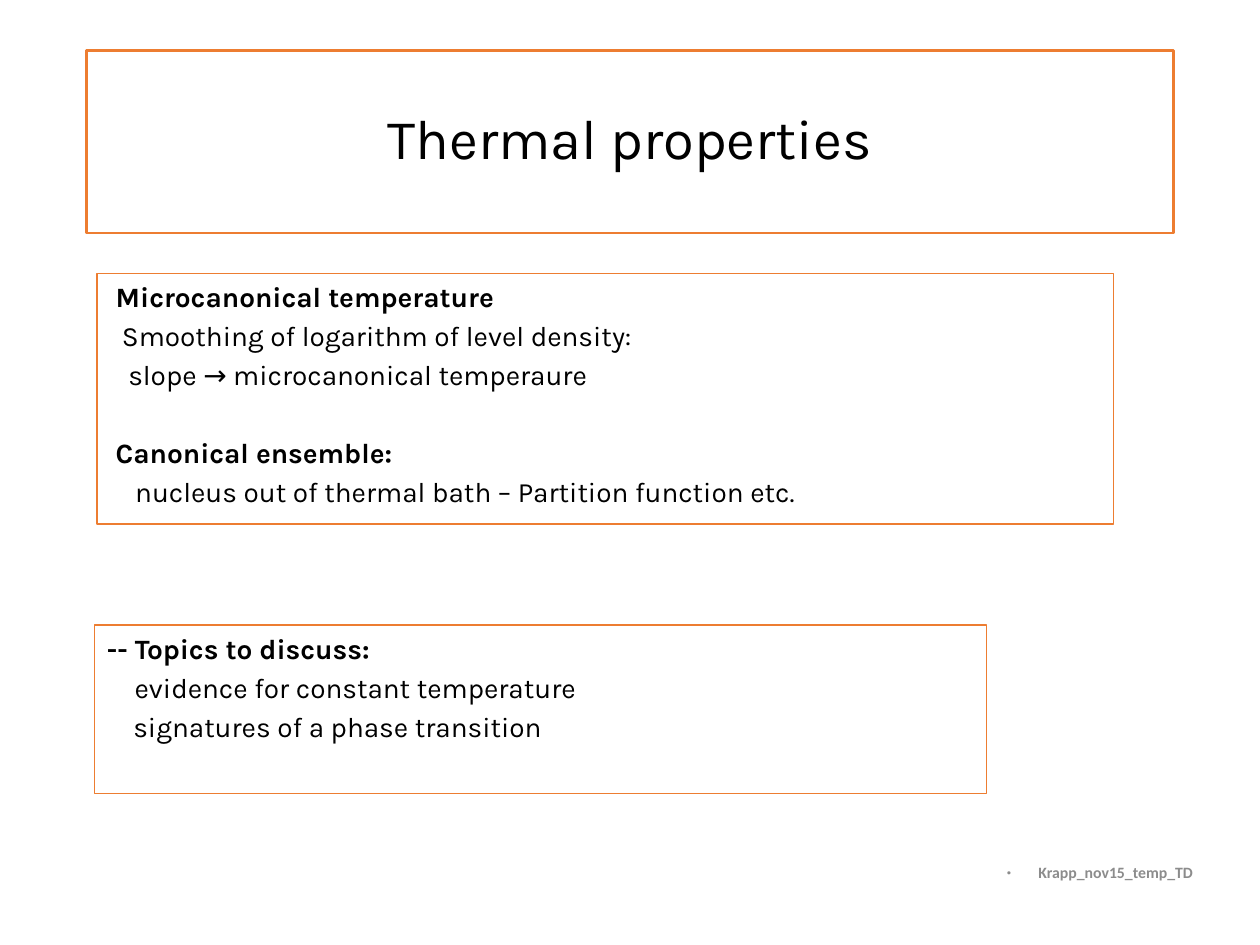
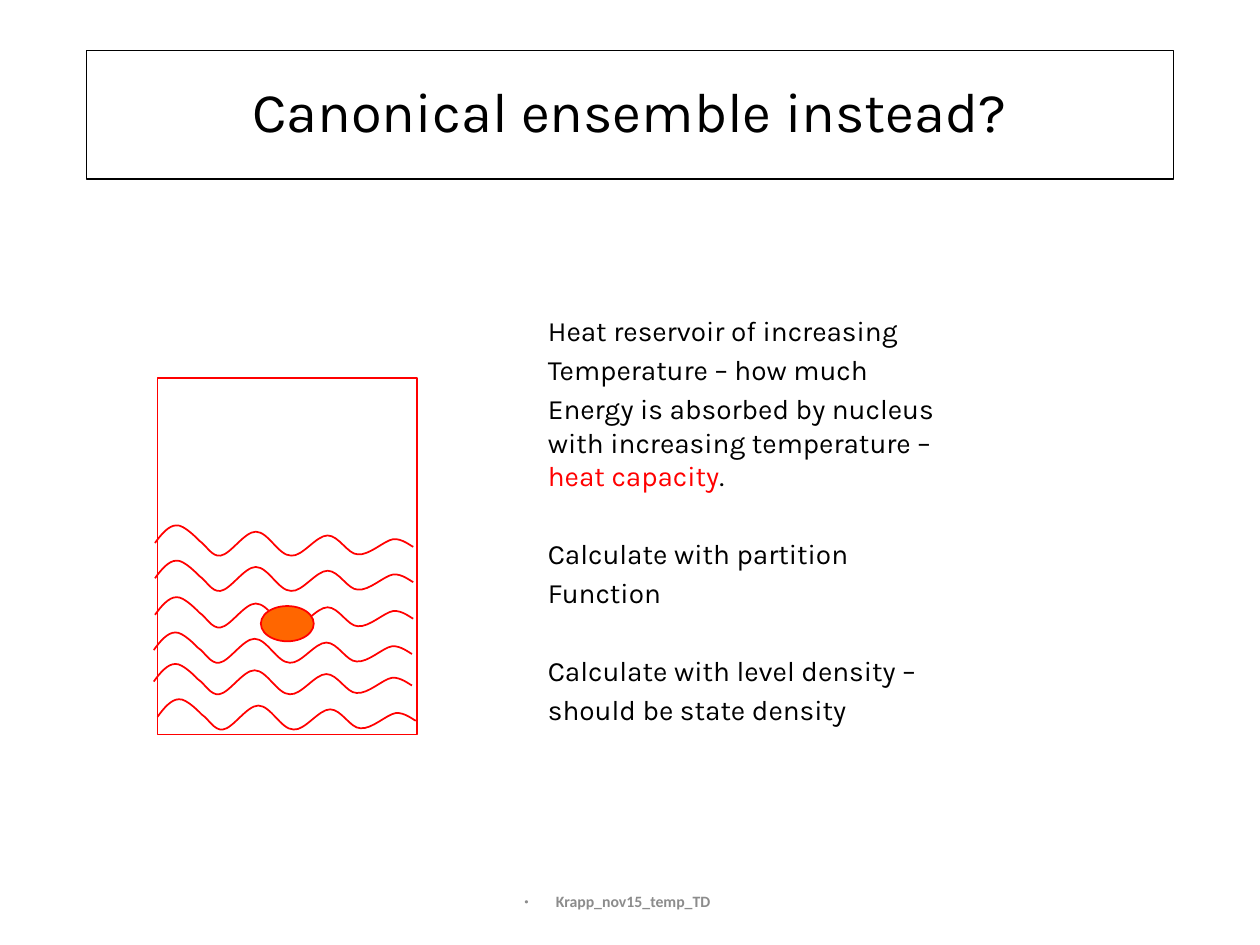
"""Build two slides on thermal properties and the canonical ensemble."""
from dataclasses import dataclass

from lxml import etree
from pptx import Presentation
from pptx import util as u
from pptx.dml.color import RGBColor
from pptx.enum import shapes, text
from pptx.oxml import ns


@dataclass(frozen=True)
class Theme:
    """Colours, fonts and type sizes."""
    ink: str = "000000"
    frame: str = "ED7D31"
    red: str = "FF0000"
    nucleus: str = "FF6600"
    muted: str = "8C8C8C"
    font: str = "Karla"
    footer_font: str = "Calibri"
    title_size: float = 32
    body_size: float = 16
    footer_size: float = 9
    para_gap: float = 3.1
    section_gap: float = 25.4
    space: float = 0.05


@dataclass(frozen=True)
class Box:
    """Position and size in inches."""
    left: float
    top: float
    width: float
    height: float

    def emu(self):
        return [u.Inches(v) for v in (self.left, self.top, self.width, self.height)]


@dataclass(frozen=True)
class Line:
    """One paragraph, indented by a number of spaces, with an optional red phrase."""
    words: str
    bold: bool = False
    indent: float = 0
    new_section: bool = False
    accent: str = ""
    tail: str = ""


T = Theme()
SLIDE_WIDTH, SLIDE_HEIGHT = 10, 7.5
TITLE_WIDTH = 8 + 5 / 8
FOOTER = "Krapp_nov15_temp_TD"

METHODS = [
    Line("Microcanonical temperature", bold=True, indent=1),
    Line("Smoothing of logarithm of level density:", indent=2),
    Line("slope → microcanonical temperaure", indent=3),
    Line("Canonical ensemble:", bold=True, indent=1, new_section=True),
    Line("nucleus out of thermal bath – Partition function etc.", indent=4.1),
]
TOPICS = [
    Line("-- Topics to discuss:", bold=True),
    Line("evidence for constant temperature", indent=4.4),
    Line("signatures of a phase transition", indent=4.2),
]
RESERVOIR = [
    Line("Heat reservoir of increasing"),
    Line("Temperature – how much"),
    Line("Energy is absorbed by nucleus with increasing temperature – ",
         accent="heat capacity", tail="."),
    Line("Calculate with partition", new_section=True),
    Line("Function"),
    Line("Calculate with level density –", new_section=True),
    Line("should be state density"),
]

WAVE_STARTS = [(1.23, 4.31), (1.23, 4.59), (1.23, 4.88),
               (1.22, 5.16), (1.22, 5.41), (1.25, 5.69)]
WAVE_CURVES = [
    ((0.05, -0.07), (0.11, -0.14), (0.17, -0.14)),
    ((0.23, -0.15), (0.35, -0.02), (0.35, -0.02)),
    ((0.41, 0.02), (0.45, 0.11), (0.52, 0.1)),
    ((0.6, 0.09), (0.71, -0.09), (0.8, -0.09)),
    ((0.9, -0.09), (0.98, 0.1), (1.08, 0.1)),
    ((1.17, 0.11), (1.28, -0.06), (1.37, -0.06)),
    ((1.46, -0.06), (1.53, 0.09), (1.61, 0.09)),
    ((1.7, 0.1), (1.82, -0.02), (1.89, -0.03)),
    ((1.96, -0.04), (2.04, 0.03), (2.05, 0.03)),
]


def color(value: str) -> RGBColor:
    """Turn a hex value into a colour."""
    return RGBColor.from_string(value)


def style_run(r, size: float, fill: str, font: str = T.font, bold: bool = False) -> None:
    """Format one run."""
    r.font.name, r.font.size, r.font.bold = font, u.Pt(size), bold
    r.font.color.rgb = color(fill)


def outline(sp, line: str, width: float, fill: str = "") -> None:
    """Give a shape its line, its fill and no shadow."""
    sp.shadow.inherit = False
    sp.line.color.rgb = color(line)
    sp.line.width = u.Pt(width)
    if fill:
        sp.fill.solid()
        sp.fill.fore_color.rgb = color(fill)
    else:
        sp.fill.background()


def add_shape(s, kind, box: Box, line: str, width: float, fill: str = ""):
    """Draw a preset shape."""
    sp = s.shapes.add_shape(kind, *box.emu())
    outline(sp, line, width, fill)
    return sp


def write_lines(sp, lines: list[Line]) -> None:
    """Fill a shape with left-aligned body paragraphs."""
    tf = sp.text_frame
    tf.word_wrap = True
    tf.vertical_anchor = text.MSO_ANCHOR.TOP
    for i, line in enumerate(lines):
        p = tf.add_paragraph() if i else tf.paragraphs[0]
        p.text = line.words
        p.alignment = text.PP_ALIGN.LEFT
        p.space_before = u.Pt(T.section_gap if line.new_section else T.para_gap)
        style_run(p.runs[0], T.body_size, T.ink, bold=line.bold)
        for words, fill in ((line.accent, T.red), (line.tail, T.ink)):
            if words:
                r = p.add_run()
                r.text = words
                style_run(r, T.body_size, fill)
        p_pr = p._p.get_or_add_pPr()
        p_pr.set("marL", str(u.Inches(line.indent * T.space)))
        p_pr.set("indent", "0")


def add_footer(s, box: Box) -> None:
    """Write the bulleted, centred footer."""
    tf = s.shapes.add_textbox(*box.emu()).text_frame
    tf.word_wrap = True
    tf.margin_right = u.Inches(0.3)
    tf.vertical_anchor = text.MSO_ANCHOR.MIDDLE
    p = tf.paragraphs[0]
    p.text = FOOTER
    p.alignment = text.PP_ALIGN.CENTER
    style_run(p.runs[0], T.footer_size, T.muted, T.footer_font, bold=True)
    p_pr = p._p.get_or_add_pPr()
    p_pr.set("marL", str(u.Inches(0.25)))
    p_pr.set("indent", str(-u.Inches(0.25)))
    etree.SubElement(p_pr, ns.qn("a:buFont"), typeface=T.font)
    etree.SubElement(p_pr, ns.qn("a:buChar"), char="•")


def add_slide(prs, title: str, height: float, line: str, width: float, footer: Box):
    """Start a slide with its framed title and footer."""
    s = prs.slides.add_slide(prs.slide_layouts[5])
    sp = s.shapes.title
    box = Box((SLIDE_WIDTH - TITLE_WIDTH) / 2, 0.4, TITLE_WIDTH, height)
    sp.left, sp.top, sp.width, sp.height = box.emu()
    sp.line.color.rgb = color(line)
    sp.line.width = u.Pt(width)
    tf = sp.text_frame
    tf.text = title
    tf.vertical_anchor = text.MSO_ANCHOR.MIDDLE
    p = tf.paragraphs[0]
    p.alignment = text.PP_ALIGN.CENTER
    p.line_spacing = 0.9
    style_run(p.runs[0], T.title_size, T.ink)
    add_footer(s, footer)
    return s


def add_wave(s, left: float, top: float) -> None:
    """Draw one wave of the heat bath as a chain of Bezier curves."""
    def place(x: float, y: float) -> tuple[int, int]:
        return u.Inches(left + x), u.Inches(top + y)

    builder = s.shapes.build_freeform(*place(0, 0))
    builder.add_line_segments([place(*c[-1]) for c in WAVE_CURVES], close=False)
    sp = builder.convert_to_shape()
    outline(sp, T.red, 1)
    segments = list(sp._element.iter(ns.qn("a:lnTo")))
    for segment, curve in zip(segments, WAVE_CURVES):
        bezier = etree.Element(ns.qn("a:cubicBezTo"))
        for x, y in (place(*point) for point in curve):
            etree.SubElement(bezier, ns.qn("a:pt"), x=str(x - sp.left), y=str(y - sp.top))
        segment.getparent().replace(segment, bezier)


def thermal_slide(prs) -> None:
    """Build the overview of thermal properties."""
    s = add_slide(prs, "Thermal properties", 1.45, T.frame, 1.5, Box(7.83, 6.67, 2, 0.5))
    for box, lines in ((Box(0.77, 2.17, 8.07, 1.99), METHODS),
                       (Box(0.75, 4.96, 7.08, 1.34), TOPICS)):
        write_lines(add_shape(s, shapes.MSO_SHAPE.RECTANGLE, box, T.frame, 0.75), lines)


def ensemble_slide(prs) -> None:
    """Build the nucleus in a heat bath with its explanation."""
    s = add_slide(prs, "Canonical ensemble instead?", 1.02, T.ink, 0.75,
                  Box(3.31, 6.95, 3.38, 0.4))
    add_shape(s, shapes.MSO_SHAPE.RECTANGLE, Box(1.25, 3, 2.06, 2.83), T.red, 1)
    for left, top in WAVE_STARTS:
        add_wave(s, left, top)
    add_shape(s, shapes.MSO_SHAPE.OVAL, Box(2.07, 4.81, 0.42, 0.28), T.red, 1, T.nucleus)
    write_lines(s.shapes.add_textbox(*Box(4.25, 2.44, 3.58, 3.49).emu()), RESERVOIR)


def main() -> None:
    """Build and save the presentation."""
    prs = Presentation()
    prs.slide_width, prs.slide_height = u.Inches(SLIDE_WIDTH), u.Inches(SLIDE_HEIGHT)
    thermal_slide(prs)
    ensemble_slide(prs)
    prs.save("out.pptx")


main()
